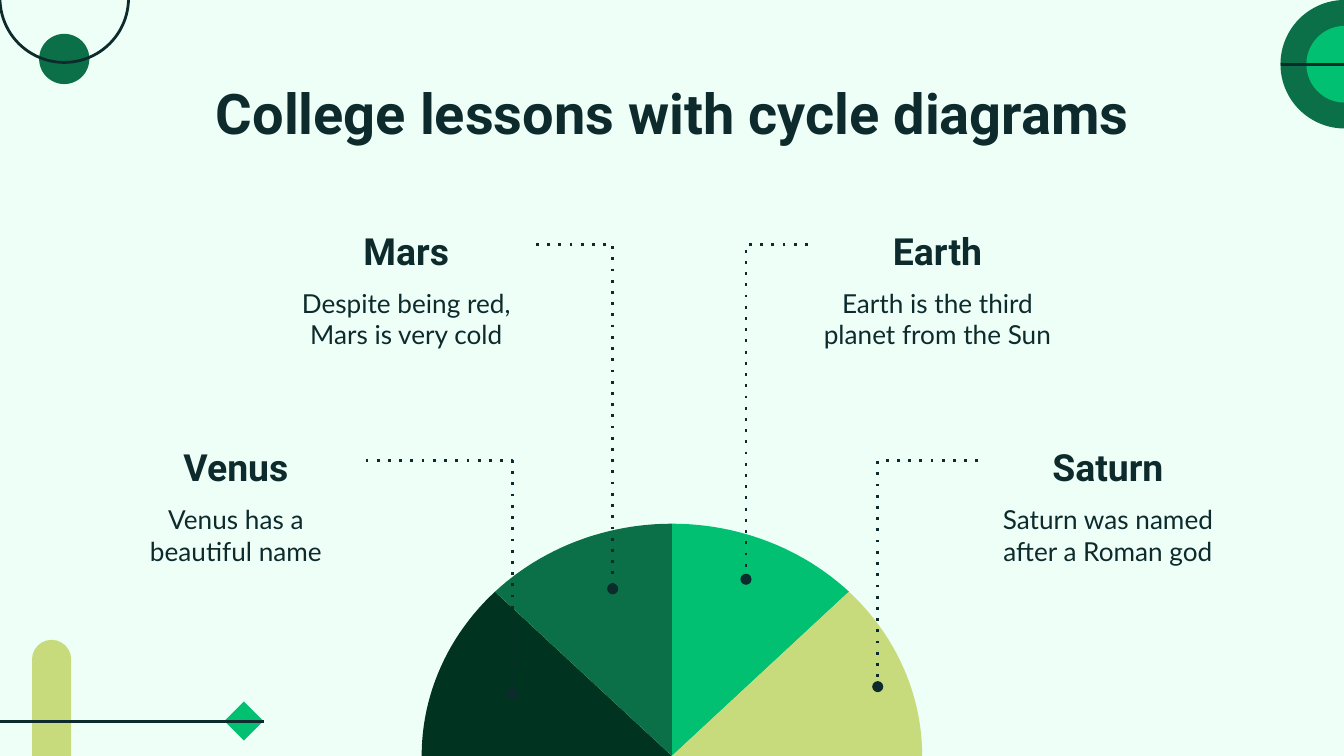
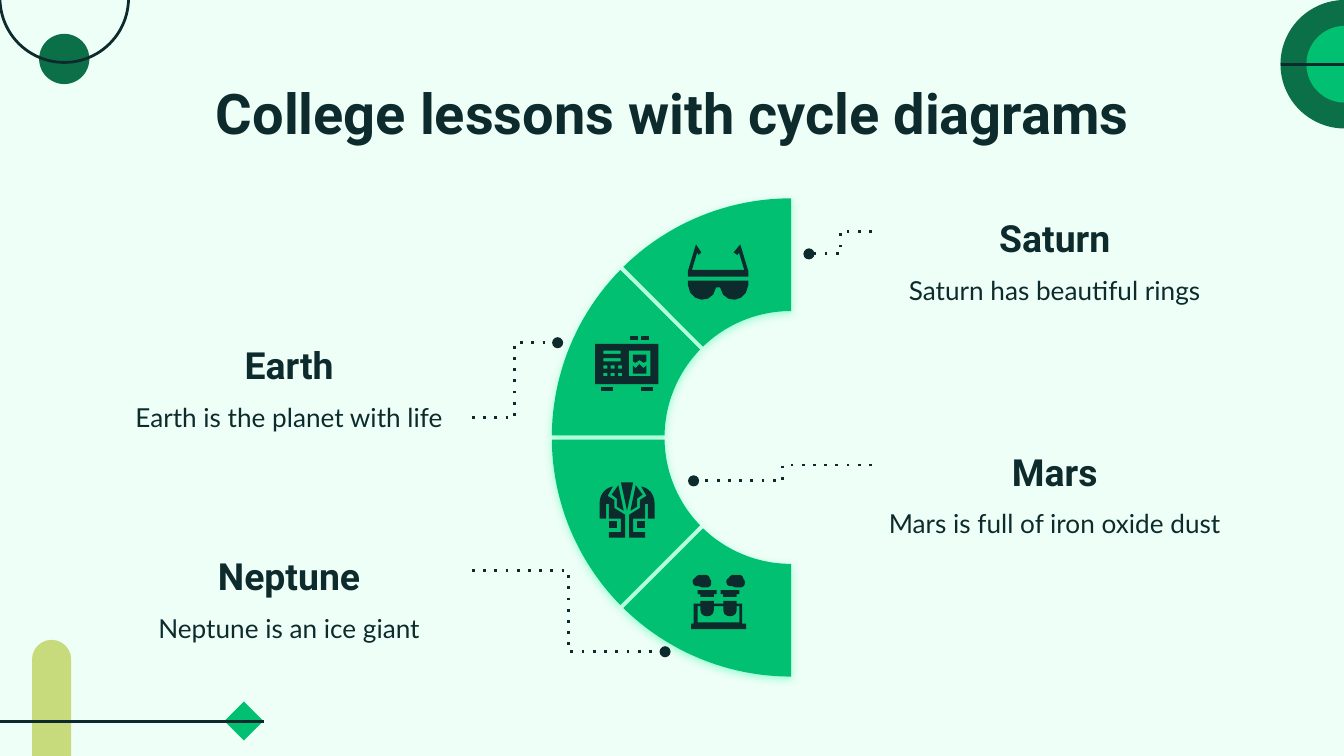
from math import asin, cos, degrees, radians, sin

from lxml.etree import SubElement
from pptx import Presentation
from pptx.dml.color import RGBColor
from pptx.enum.shapes import MSO_CONNECTOR, MSO_SHAPE
from pptx.enum.text import MSO_ANCHOR, MSO_AUTO_SIZE, PP_ALIGN
from pptx.oxml.ns import qn
from pptx.util import Cm, Pt

INK, MINT, GLOW = "0D2B2C", "EEFFF7", "43FDAF"
DEEP, FOREST, GREEN, LIME = "003420", "0B7047", "02C071", "C7DB7C"
HEAD_FONT, BODY_FONT = "Roboto", "Lato"
SLIDE_W, SLIDE_H = 25.4, 14.29
ICON_UNIT = Cm(2.54) / 100
NAME_H, BODY_DROP = 1.55, 1.32


def rgb(color):
    return RGBColor.from_string(color)


def style_shape(sp, fill=None, line=None):
    sp.shadow.inherit = False
    if fill:
        sp.fill.solid()
        sp.fill.fore_color.rgb = rgb(fill)
    else:
        sp.fill.background()
    if line:
        sp.line.color.rgb = rgb(line)
        sp.line.width = Pt(1.5)
    else:
        sp.line.fill.background()
    return sp


def add_preset(s, kind, left, top, width, height, fill=None, line=None):
    sp = s.shapes.add_shape(kind, Cm(left), Cm(top), Cm(width), Cm(height))
    return style_shape(sp, fill, line)


def add_line(s, kind, start, end):
    c = s.shapes.add_connector(kind, *(Cm(v) for v in (*start, *end)))
    c.line.color.rgb = rgb(INK)
    c.line.width = Pt(1.5)
    SubElement(c.element.spPr, qn("a:effectLst"))
    return c


def add_leader(s, start, end, preset):
    """Dotted elbow line that ends in a round dot."""
    c = add_line(s, MSO_CONNECTOR.ELBOW, start, end)
    c.element.spPr.find(qn("a:prstGeom")).set("prst", preset)
    ln = c.element.spPr.find(qn("a:ln"))
    SubElement(ln, qn("a:prstDash"), val="dot")
    SubElement(ln, qn("a:tailEnd"), type="oval")


def write(sp, text, font, size, bold=False, anchor=MSO_ANCHOR.TOP):
    tf = sp.text_frame
    tf.word_wrap = True
    tf.auto_size = MSO_AUTO_SIZE.NONE
    tf.vertical_anchor = anchor
    tf.margin_left = tf.margin_right = tf.margin_top = tf.margin_bottom = Cm(0.25)
    p = tf.paragraphs[0]
    p.alignment = PP_ALIGN.CENTER
    r = p.add_run()
    r.text = text
    r.font.name, r.font.size, r.font.bold = font, Pt(size), bold
    r.font.color.rgb = rgb(INK)


def add_text(s, left, top, width, height, *args, **kwargs):
    write(s.shapes.add_textbox(Cm(left), Cm(top), Cm(width), Cm(height)),
          *args, **kwargs)


def flatten(contour, steps=6):
    """Turn six-number curve entries into short straight steps."""
    points = []
    for item in contour:
        if len(item) == 2:
            points.append(item)
            continue
        x0, y0 = points[-1]
        x1, y1, x2, y2, x3, y3 = item
        for i in range(1, steps + 1):
            t = i / steps
            u = 1 - t
            a, b, c, d = u**3, 3 * u * u * t, 3 * u * t * t, t**3
            points.append((a * x0 + b * x1 + c * x2 + d * x3,
                           a * y0 + b * y1 + c * y2 + d * y3))
    return points


def add_outline(s, left, top, contours, fill, unit=Cm(1)):
    """Closed outline in the given unit, measured from left, top."""
    builder = None
    for contour in contours:
        points = [(round(x * unit), round(y * unit)) for x, y in flatten(contour)]
        if builder is None:
            builder = s.shapes.build_freeform(*points[0])
        else:
            builder.move_to(*points[0])
        builder.add_line_segments(points[1:], close=True)
    return style_shape(builder.convert_to_shape(Cm(left), Cm(top)), fill)


def arc(rx, ry, start, end, steps=24):
    """Points round the origin; degrees run counterclockwise from the right."""
    angles = (radians(start + (end - start) * i / steps) for i in range(steps + 1))
    return [(rx * cos(a), -ry * sin(a)) for a in angles]


def rect(left, top, right, bottom):
    return [(left, top), (right, top), (right, bottom), (left, bottom)]


def shift(contour, dx):
    return [tuple(v + dx * (i % 2 == 0) for i, v in enumerate(item))
            for item in contour]


def mirror(contour, width):
    return [tuple(width - v if i % 2 == 0 else v for i, v in enumerate(item))
            for item in contour]


def sunglasses():
    frame = [(45, 24), (45, 20), (39, 0), (34, 6), (37, 8), (38, 6), (42, 19),
             (3, 19), (7, 6), (8, 8), (10, 6), (6, 0), (0, 20), (0, 24)]
    lenses = [(0, 27), (0, 30), (1, 44, 19, 45, 21, 32), (24, 32),
              (26, 45, 44, 44, 45, 30), (45, 27)]
    return [[frame], [lenses]]


def lab_device():
    plot = [(38, 22), (36, 24), (33, 21), (30, 24), (28, 22), (28, 28), (38, 28)]
    sky = [(33, 18), (36, 20), (38, 19), (38, 14), (28, 14), (28, 19), (30, 20)]
    keys = [rect(x, y, x + 3, y + 2.5) for x in (6, 11.5, 17) for y in (22, 27.5)]
    bars = [rect(6, y, 19, y + 2.5) for y in (11, 16.5)]
    body = [rect(0, 6, 47, 36), *keys, *bars, rect(25, 11, 41, 30)]
    feet = [[rect(x, 38, x + 9, 41)] for x in (4, 34)]
    knobs = [[rect(x, 0, x + 6, 3)] for x in (26, 34)]
    return [[plot], [sky], body, *feet, *knobs]


def jacket():
    half = [(11, 13), (6, 10), (10, 3), (4, 4, 0, 9, 0, 16), (0, 27), (5, 27),
            (5, 16), (7, 16), (7, 27), (16, 27), (16, 37), (7, 37), (7, 41),
            (19, 41), (19, 24), (11, 19)]
    lapel = [(18, 21), (14, 2), (9, 9), (13, 12), (13, 18)]
    sides = [half, rect(7, 29, 13, 34), lapel]
    shirt = [(16, 0), (20.5, 21), (25, 0)]
    return [[shirt]] + [[c] for side in sides for c in (side, mirror(side, 41))]


def test_tubes():
    collar = [(5, 12), (5, 15), (7, 15), (7, 17), (17, 17), (17, 15), (19, 15), (19, 12)]
    smoke = [(4, 9), (5, 9, 5, 9, 6, 9), (7, 10, 8, 10, 10, 10), (12, 10),
             (13, 10, 15, 9, 15, 7), (15, 6, 15, 4, 14, 4), (14, 1, 11, 0, 8, 1),
             (7, 0, 4, 1, 3, 3), (0, 4, 1, 9, 4, 9)]
    rack = [(38, 37), (38, 22), (34, 22), (34, 20), (24, 20), (24, 22), (17, 22),
            (17, 20), (7, 20), (7, 22), (2, 22), (2, 37), (0, 37), (0, 41),
            (41, 41), (41, 37)]
    gap = [(5, 36), (5, 24), (7, 24), (7, 27), (7, 33, 17, 33, 17, 27), (17, 24),
           (24, 24), (24, 27), (24, 33, 34, 33, 34, 27), (34, 24), (36, 24), (36, 36)]
    return [[collar], [shift(collar, 17)], [smoke], [shift(smoke, 25)], [rack, gap]]


def add_icon(s, left, top, parts):
    s.shapes.add_group_shape(
        [add_outline(s, left, top, part, INK, ICON_UNIT) for part in parts])


def decorate_layout(s, layout):
    """Draw the corner ornaments once and hand them to the layout."""
    layout.background.fill.solid()
    layout.background.fill.fore_color.rgb = rgb(MINT)
    for ph in list(layout.placeholders):
        if ph.placeholder_format.idx:
            ph.element.getparent().remove(ph.element)
    straight = MSO_CONNECTOR.STRAIGHT
    diamond = add_preset(s, MSO_SHAPE.DIAMOND, 4.24, 13.26, 0.74, 0.74, GREEN)
    bar = add_preset(s, MSO_SHAPE.ROUNDED_RECTANGLE, -0.74, 13.44, 3.43, 0.74, LIME)
    bar.rotation = 90
    bar.adjustments[0] = 0.5
    ornaments = [
        diamond, bar,
        add_line(s, straight, (0, 13.64), (4.98, 13.64)),
        add_preset(s, MSO_SHAPE.OVAL, 24.2, 0, 2.43, 2.43, FOREST),
        add_preset(s, MSO_SHAPE.OVAL, 24.69, 0.49, 1.45, 1.45, GREEN),
        add_line(s, straight, (24.2, 1.22), (26.62, 1.22)),
        add_preset(s, MSO_SHAPE.OVAL, 0.74, 0.64, 0.95, 0.95, FOREST),
        add_preset(s, MSO_SHAPE.OVAL, 0, -1.25, 2.43, 2.43, line=INK),
    ]
    layout.shapes.element.append(s.shapes.add_group_shape(ornaments).element)


def add_title(s, text):
    sp = s.shapes.title
    sp.left, sp.top, sp.width, sp.height = Cm(2.01), Cm(1.24), Cm(21.41), Cm(1.6)
    write(sp, text, HEAD_FONT, 30, bold=True)


def add_callout(s, name, body, left, top, width, body_h):
    add_text(s, left, top + BODY_DROP, width, body_h, body, BODY_FONT, 14)
    add_text(s, left, top, width, NAME_H, name, HEAD_FONT, 20, bold=True,
             anchor=MSO_ANCHOR.BOTTOM)


def add_callouts(s, callouts, width, body_h):
    for name, body, left, top, *_ in callouts:
        add_callout(s, name, body, left, top, width, body_h)


def add_leaders(s, callouts, width, preset):
    """Run a leader from the inner edge of each callout to its target."""
    for _, _, left, top, drop, target in callouts:
        edge = left + width if left < SLIDE_W / 2 else left
        add_leader(s, (edge, top + drop), target, preset)


def add_fan(s, cx, cy, rx, ry, colors):
    """Half disc split evenly, colours given from left to right."""
    step = 180 / len(colors)
    for i, color in enumerate(colors):
        end = 180 - i * step
        add_outline(s, cx, cy, [[(0, 0), *arc(rx, ry, end, end - step)]], color)


def add_half_ring(s, cx, cy, outer, inner, icons, inset=0.04):
    """Left half of a ring, split evenly from the top, then its icons."""
    step = 180 / len(icons)
    for i, (left, top, parts) in enumerate(icons):
        start, end = 90 + i * step, 90 + (i + 1) * step
        edges = []
        for radius in (outer, inner):
            trim = degrees(asin(inset / radius))
            first = start + trim * (i > 0)
            last = end - trim * (i < len(icons) - 1)
            edges.append(arc(radius, radius, first, last))
        sp = add_outline(s, cx, cy, [edges[0] + edges[1][::-1]], GREEN)
        effects = sp.element.spPr.find(qn("a:effectLst"))
        glow = SubElement(effects, qn("a:outerShdw"), blurRad=str(Pt(4.5)),
                          dist=str(Pt(1.5)), dir="5400000", algn="bl", rotWithShape="0")
        color = SubElement(glow, qn("a:srgbClr"), val=GLOW)
        SubElement(color, qn("a:alpha"), val="50000")
        add_icon(s, left, top, parts)


def build_fan_slide(s):
    width = 4.9
    callouts = [
        ("Venus", "Venus has a beautiful name", 2.01, 7.95, 0.76, (9.68, 13.11)),
        ("Saturn", "Saturn was named after a Roman god", 18.49, 7.95, 0.76, (16.59, 12.98)),
        ("Earth", "Earth is the third planet from the Sun", 15.27, 3.86, 0.76, (14.1, 10.95)),
        ("Mars", "Despite being red, Mars is very cold", 5.23, 3.86, 0.76, (11.58, 11.13)),
    ]
    add_title(s, "College lessons with cycle diagrams")
    add_callouts(s, callouts, width, 1.7)
    add_fan(s, SLIDE_W / 2, SLIDE_H, 4.73, 4.39, [DEEP, FOREST, GREEN, LIME])
    add_leaders(s, callouts, width, "bentConnector2")


def build_ring_slide(s):
    width = 6.91
    callouts = [
        ("Earth", "Earth is the planet with life", 2.01, 6.02, 1.88, (10.54, 6.48)),
        ("Neptune", "Neptune is an ice giant", 2.01, 10.01, 0.78, (12.57, 12.32)),
        ("Saturn", "Saturn has beautiful rings", 16.48, 3.61, 0.76, (15.29, 4.8)),
        ("Mars", "Mars is full of iron oxide dust", 16.48, 8.03, 0.76, (13.11, 9.09)),
    ]
    icons = [(13, 4.62, sunglasses()), (11.25, 6.35, lab_device()),
             (11.33, 9.12, jacket()), (13.06, 10.85, test_tubes())]
    add_title(s, "College lessons with cycle diagrams")
    add_callouts(s, callouts, width, 1.12)
    add_half_ring(s, 14.95, 8.27, 4.52, 2.39, icons)
    add_leaders(s, callouts, width, "bentConnector3")


def main():
    prs = Presentation()
    prs.slide_width, prs.slide_height = Cm(SLIDE_W), Cm(SLIDE_H)
    layout = prs.slide_layouts[5]
    fan, ring = (prs.slides.add_slide(layout) for _ in range(2))
    decorate_layout(fan, layout)
    build_fan_slide(fan)
    build_ring_slide(ring)
    prs.save("out.pptx")


if __name__ == "__main__":
    main()
